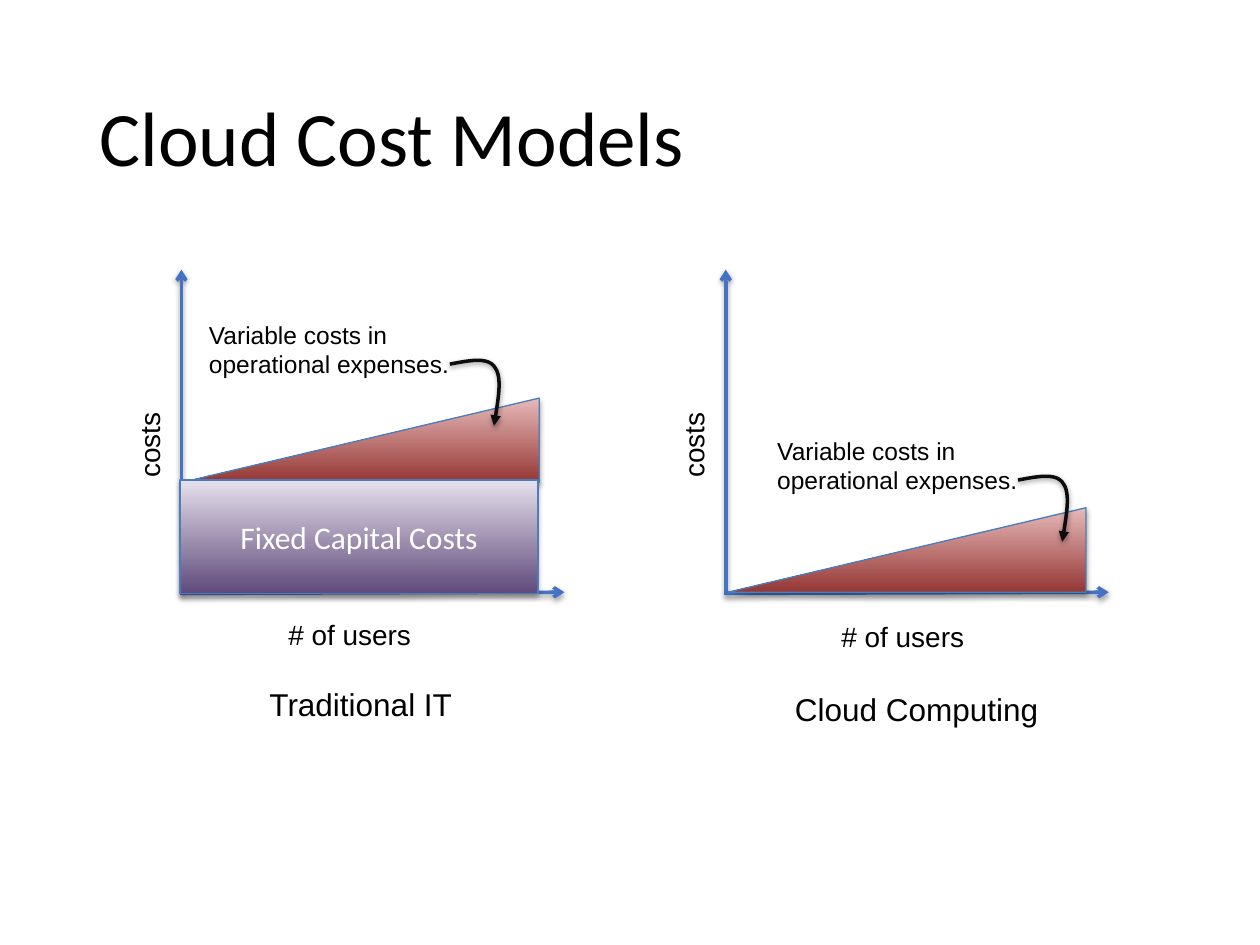
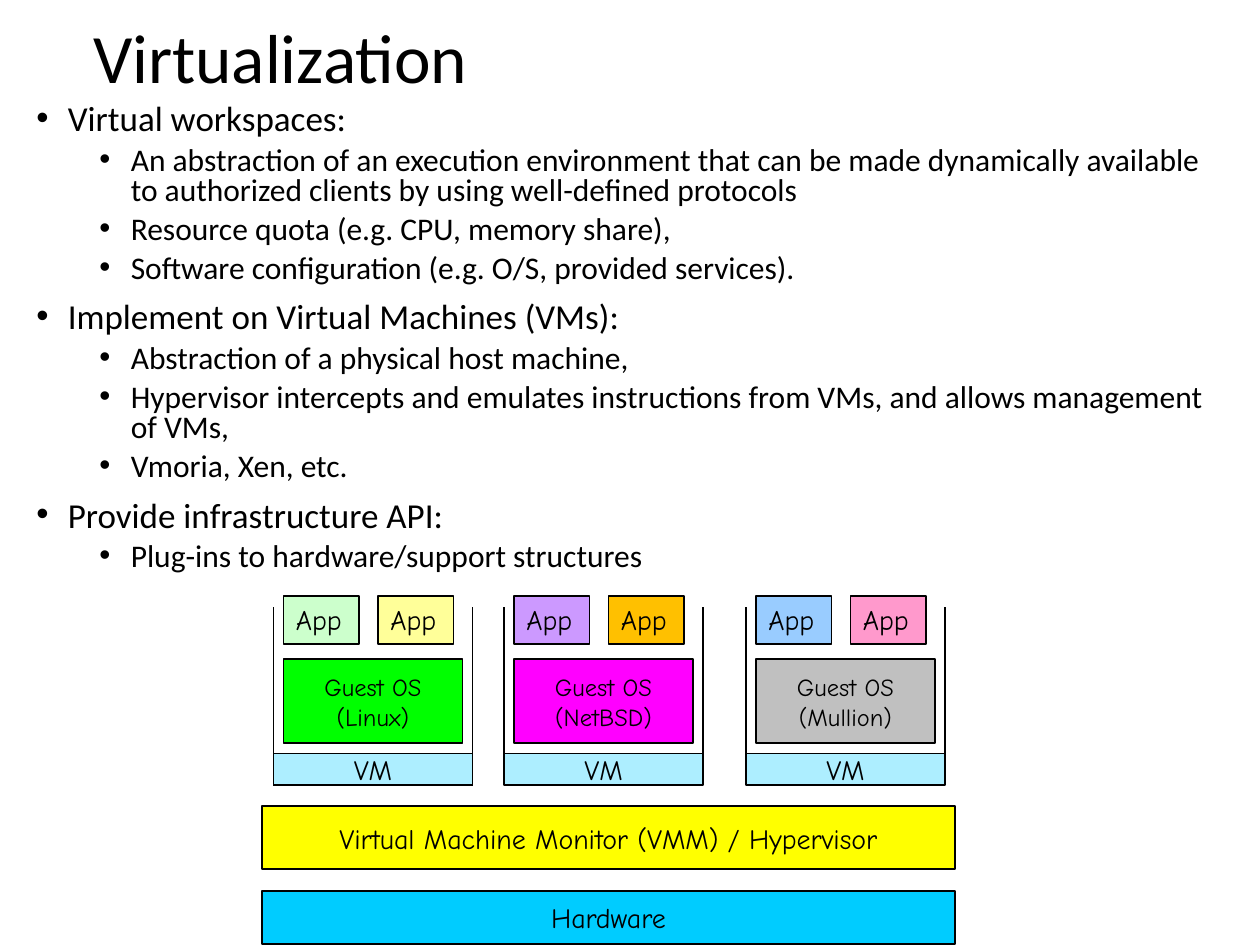
from dataclasses import dataclass
from typing import NamedTuple, Optional

from lxml.etree import SubElement
from pptx import Presentation
from pptx.dml.color import RGBColor
from pptx.enum.shapes import MSO_CONNECTOR, MSO_SHAPE
from pptx.enum.text import MSO_ANCHOR, PP_ALIGN
from pptx.oxml.ns import qn
from pptx.util import Inches, Pt


class Style(NamedTuple):
    font: str
    size: float
    color: str = "000000"
    spacing: float = 1.0


class Shadow(NamedTuple):
    opacity: int
    blur: float
    distance: float


@dataclass(frozen=True)
class Theme:
    title: Style = Style("Calibri", 44, spacing=0.9)
    small_title: Style = Style("Calibri", 39.6, spacing=0.9)
    topic: Style = Style("Calibri", 20, spacing=0.8)
    detail: Style = Style("Calibri", 18, spacing=0.8)
    block: Style = Style("Calibri", 18, "FFFFFF")
    axis_label: Style = Style("Arial", 16)
    note: Style = Style("Arial", 14)
    caption: Style = Style("Arial", 18)
    layer: Style = Style("Comic Neue", 16, spacing=1.02)
    guest: Style = Style("Comic Neue", 14, spacing=1.02)
    axis: str = "4472C4"
    outline: str = "4A7EBB"
    curve: str = "0D0D0D"
    ink: str = "000000"
    red: tuple = ("E6B9B8", "953735")
    purple: tuple = ("E6E0EC", "604A7B")
    cyan: str = "00CCFF"
    yellow: str = "FFFF00"
    line_shadow: Shadow = Shadow(38, 3.1, 1.6)
    shape_shadow: Shadow = Shadow(35, 3.1, 1.8)


THEME = Theme()


class Rect(NamedTuple):
    left: float
    top: float
    width: float
    height: float

    def lengths(self) -> list:
        """Give the four sides as slide lengths."""
        return [Inches(side) for side in self]


class Point(NamedTuple):
    x: float
    y: float


@dataclass(frozen=True)
class CostPanel:
    axis_left: float
    wedge: Point
    users: Point
    note: Point
    caption: Point
    name: str


@dataclass(frozen=True)
class Machine:
    left: float
    system: str
    guest_color: str
    app_colors: tuple


PANELS = (
    CostPanel(1.44, Point(1.44, 3.16), Point(2.19, 4.85), Point(1.56, 2.49),
              Point(2.04, 5.39), "Traditional IT"),
    CostPanel(5.76, Point(5.78, 4.03), Point(6.58, 4.87), Point(6.07, 3.41),
              Point(6.21, 5.43), "Cloud Computing"),
)
MACHINES = (
    Machine(2.17, "Linux", "00FF00", ("CCFFCC", "FFFF99")),
    Machine(4.0, "NetBSD", "FF00FF", ("CC99FF", "FFC000")),
    Machine(5.92, "Mullion", "C0C0C0", ("99CCFF", "FF99CC")),
)
OUTLINE = (
    ("Virtual workspaces:", (
        "An abstraction of an execution environment that can be made dynamically "
        "available to authorized clients by using well-defined protocols",
        "Resource quota (e.g. CPU, memory share),",
        "Software configuration (e.g. O/S, provided services).")),
    ("Implement on Virtual Machines (VMs):", (
        "Abstraction of a physical host machine,",
        "Hypervisor intercepts and emulates instructions from VMs, and allows "
        "management of VMs,",
        "Vmoria, Xen, etc.")),
    ("Provide infrastructure API:", ("Plug-ins to hardware/support structures",)),
)
CURVE = (
    ((0, 0), (0.16, -0.03), (0.31, -0.06), (0.36, 0.03)),
    ((0.36, 0.03), (0.42, 0.11), (0.38, 0.3), (0.35, 0.49)),
)
CURVE_STEPS = 12


def style_para(para, style: Style, align=PP_ALIGN.LEFT) -> None:
    """Apply a text style to a paragraph and its runs."""
    para.alignment = align
    para.line_spacing = style.spacing
    for span in para.runs:
        span.font.name = style.font
        span.font.size = Pt(style.size)
        span.font.color.rgb = RGBColor.from_string(style.color)


def write_text(shape, text: str, style: Style, align=PP_ALIGN.LEFT,
               anchor=MSO_ANCHOR.TOP, wrap: bool = True) -> None:
    """Fill a shape with text, one paragraph a line."""
    frame = shape.text_frame
    frame.text = text
    frame.word_wrap = wrap
    frame.vertical_anchor = anchor
    for para in frame.paragraphs:
        style_para(para, style, align)


def add_text(page, rect: Rect, text: str, style: Style,
             anchor=MSO_ANCHOR.TOP, wrap: bool = True):
    """Add a text box."""
    box = page.shapes.add_textbox(*rect.lengths())
    write_text(box, text, style, anchor=anchor, wrap=wrap)
    return box


def set_shadow(shape, shadow: Optional[Shadow] = None) -> None:
    """Replace the inherited shadow with the given one, or with none."""
    properties = shape._element.spPr
    effects = properties.find(qn("a:effectLst"))
    if effects is None:
        effects = SubElement(properties, qn("a:effectLst"))
    if shadow:
        outer = SubElement(effects, qn("a:outerShdw"), blurRad=str(Pt(shadow.blur)),
                           dist=str(Pt(shadow.distance)), dir="5400000",
                           rotWithShape="0")
        color = SubElement(outer, qn("a:srgbClr"), val=THEME.ink)
        SubElement(color, qn("a:alpha"), val=str(shadow.opacity * 1000))


def set_line(shape, color: str, width: float, arrow: str = "") -> None:
    """Set line colour, width and the arrowhead at its end."""
    shape.line.color.rgb = RGBColor.from_string(color)
    shape.line.width = Pt(width)
    if arrow:
        SubElement(shape.get_or_add_ln(), qn("a:tailEnd"), type=arrow)


def add_line(page, start: Point, end: Point, color: str, width: float,
             arrow: str = "", shadow: Optional[Shadow] = None) -> None:
    """Add a straight line or arrow."""
    line = page.shapes.add_connector(
        MSO_CONNECTOR.STRAIGHT, *(Inches(value) for value in (*start, *end)))
    set_line(line, color, width, arrow)
    set_shadow(line, shadow)


def add_gradient(page, kind, rect: Rect, colors: tuple):
    """Add a shaded shape with a downward gradient."""
    shape = page.shapes.add_shape(kind, *rect.lengths())
    shape.fill.gradient()
    shape.fill.gradient_angle = 270
    for stop, color in zip(shape.fill.gradient_stops, colors):
        stop.color.rgb = RGBColor.from_string(color)
    set_line(shape, THEME.outline, 0.75)
    set_shadow(shape, THEME.shape_shadow)
    return shape


def add_block(page, rect: Rect, color: str, text: str, style: Style = THEME.layer,
              align=PP_ALIGN.CENTER, anchor=MSO_ANCHOR.MIDDLE):
    """Add a flat outlined block with text."""
    block = page.shapes.add_shape(MSO_SHAPE.RECTANGLE, *rect.lengths())
    block.shadow.inherit = False
    block.fill.solid()
    block.fill.fore_color.rgb = RGBColor.from_string(color)
    set_line(block, THEME.ink, 1)
    write_text(block, text, style, align, anchor, wrap=False)
    return block


def add_curve(page, origin: Point) -> None:
    """Add the curved arrow that leads from a note to its wedge."""
    points = []
    for controls in CURVE:
        for step in range(1, CURVE_STEPS + 1):
            t = step / CURVE_STEPS
            weights = ((1 - t) ** 3, 3 * t * (1 - t) ** 2, 3 * t * t * (1 - t), t ** 3)
            x, y = (sum(weight * point[axis] for weight, point in zip(weights, controls))
                    for axis in (0, 1))
            points.append((Inches(origin.x + x), Inches(origin.y + y)))
    builder = page.shapes.build_freeform(Inches(origin.x), Inches(origin.y))
    builder.add_line_segments(points, close=False)
    curve = builder.convert_to_shape()
    curve.fill.background()
    set_line(curve, THEME.curve, 2, "triangle")
    set_shadow(curve, THEME.line_shadow)


def draw_panel(page, panel: CostPanel) -> None:
    """Draw one cost diagram with axes, wedge, note and labels."""
    left = panel.axis_left
    for start, end in ((Point(left, 4.72), Point(left, 2.14)),
                       (Point(left, 4.71), Point(left + 3.04, 4.7))):
        add_line(page, start, end, THEME.axis, 2, "arrow", THEME.line_shadow)
    wedge = add_gradient(page, MSO_SHAPE.RIGHT_TRIANGLE,
                         Rect(*panel.wedge, 2.84, 0.67), THEME.red)
    wedge._element.spPr.get_or_add_xfrm().set("flipH", "1")
    costs = add_text(page, Rect(left - 0.62, 3.34, 0.73, 0.37), "costs",
                     THEME.axis_label, wrap=False)
    costs.rotation = 270
    add_text(page, Rect(*panel.users, 1.19, 0.37), "# of users",
             THEME.axis_label, wrap=False)
    add_text(page, Rect(*panel.note, 2.12, 0.57),
             "Variable costs in operational expenses.", THEME.note)
    add_curve(page, Point(panel.note.x + 2.01, panel.note.y + 0.4))
    add_text(page, Rect(*panel.caption, 2.69, 0.4), panel.name, THEME.caption)


def draw_machine(page, machine: Machine) -> None:
    """Draw one virtual machine with its guest system and apps."""
    left, right, top, bottom = machine.left, machine.left + 1.58, 4.82, 6.23
    inner = left + 0.08
    add_block(page, Rect(inner, 5.23, 1.42, 0.67), machine.guest_color,
              f"Guest OS\n({machine.system})", THEME.guest)
    for start, end in ((Point(left, top), Point(left, bottom)),
                       (Point(right, top), Point(right, bottom)),
                       (Point(left, bottom), Point(right, bottom))):
        add_line(page, start, end, THEME.ink, 1)
    base = add_block(page, Rect(left, 5.98, 1.58, 0.25), THEME.cyan, "VM")
    color = base._element.spPr.find(qn("a:solidFill")).find(qn("a:srgbClr"))
    SubElement(color, qn("a:alpha"), val="32000")
    for index, app_color in enumerate(machine.app_colors):
        add_block(page, Rect(inner + index * 0.75, 4.73, 0.6, 0.38), app_color, "App",
                  align=PP_ALIGN.LEFT, anchor=MSO_ANCHOR.TOP)


def draw_outline(page, rect: Rect) -> None:
    """Write the bulleted topics and their details."""
    rows = [(text, level) for topic, details in OUTLINE
            for text, level in ((topic, 0), *((detail, 1) for detail in details))]
    box = add_text(page, rect, "\n".join(text for text, _ in rows), THEME.topic)
    for index, (para, (_, level)) in enumerate(zip(box.text_frame.paragraphs, rows)):
        para.level = level
        style_para(para, THEME.detail if level else THEME.topic)
        if index:
            para.space_before = Pt(5 if level else 10)
        properties = para._p.get_or_add_pPr()
        properties.set("marL", str(Inches(0.25 + 0.5 * level)))
        properties.set("indent", str(-Inches(0.25)))
        SubElement(properties, qn("a:buFont"), typeface="Arial")
        SubElement(properties, qn("a:buChar"), char="•")


def draw_cost_models(page) -> None:
    """Draw the cost model slide."""
    add_text(page, Rect(0.69, 0.4, 8.62, 1.45), "Cloud Cost Models", THEME.title,
             MSO_ANCHOR.MIDDLE)
    for panel in PANELS:
        draw_panel(page, panel)
    fixed = add_gradient(page, MSO_SHAPE.RECTANGLE, Rect(1.43, 3.81, 2.84, 0.9),
                         THEME.purple)
    write_text(fixed, "Fixed Capital Costs", THEME.block, PP_ALIGN.CENTER,
               MSO_ANCHOR.MIDDLE)


def draw_virtualization(page) -> None:
    """Draw the virtualization slide."""
    add_text(page, Rect(0.64, 0.13, 7.92, 0.71), "Virtualization", THEME.small_title,
             MSO_ANCHOR.MIDDLE)
    draw_outline(page, Rect(0.19, 0.78, 9.57, 3.92))
    add_block(page, Rect(2.08, 7.07, 5.5, 0.42), THEME.cyan, "Hardware")
    add_block(page, Rect(2.08, 6.4, 5.5, 0.5), THEME.yellow,
              "Virtual Machine Monitor (VMM) / Hypervisor")
    for machine in MACHINES:
        draw_machine(page, machine)


def main() -> None:
    """Build and save the deck."""
    deck = Presentation()
    deck.slide_width, deck.slide_height = Inches(10), Inches(7.5)
    for draw in (draw_cost_models, draw_virtualization):
        draw(deck.slides.add_slide(deck.slide_layouts[6]))
    deck.save("out.pptx")


if __name__ == "__main__":
    main()
